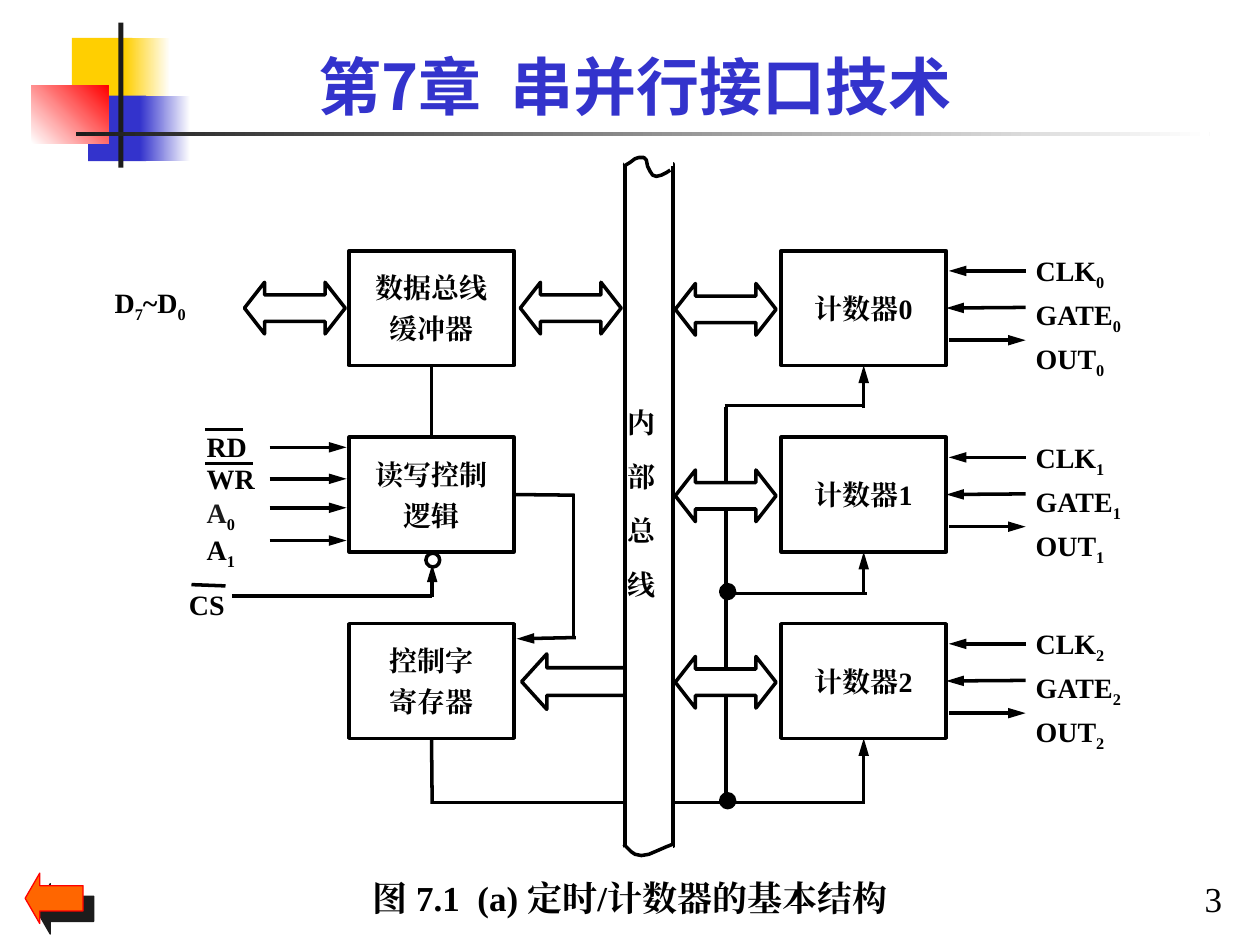
from dataclasses import dataclass
from typing import Optional

from lxml.etree import SubElement
from pptx import Presentation
from pptx.dml.color import RGBColor
from pptx.enum.shapes import MSO_CONNECTOR, MSO_SHAPE
from pptx.enum.text import MSO_ANCHOR, MSO_AUTO_SIZE, PP_ALIGN
from pptx.oxml.ns import qn
from pptx.util import Inches, Pt

prs = Presentation()
prs.slide_width, prs.slide_height = Inches(10), Inches(7.5)
slide = prs.slides.add_slide(prs.slide_layouts[5])
shapes = slide.shapes

CELL = prs.slide_width / 100
ROWS = [19.9 + 14.8 * i for i in range(3)]
LEFT_COL, RIGHT_COL = 27.7, 62
BOX_W, BOX_H = 13.1, 9.1
BLACK, WHITE, DARK, BLUE, YELLOW = "000000", "FFFFFF", "1C1C1C", "3333CC", "FFCF01"
RED, ORANGE = "FF0000", "FF6600"
SERIF, SANS = "Times New Roman", "Noto Sans CJK SC"
BOTH_WAYS = [(0, 2.05), (1.6, 4.1), (1.6, 3.1), (6.4, 3.1), (6.4, 4.1),
             (8, 2.05), (6.4, 0), (6.4, 1), (1.6, 1), (1.6, 0)]
LEFTWARD = [(0, 2.2), (2, 0), (2, 1.1), (8.3, 1.1), (8.3, 3.3), (2, 3.3), (2, 4.4)]
TOP_BREAK = [(0, 0.7), (0.5, 0.4), (0.9, 0.1), (1.2, 0), (1.6, 0), (1.8, 0.2),
             (1.9, 0.7), (2.1, 1.1), (2.3, 1.4), (2.6, 1.5), (3, 1.4), (3.4, 1.2), (3.7, 1)]
BOTTOM_BREAK = [(0, 0), (0.3, 0.3), (0.6, 0.6), (0.9, 0.8), (1.4, 0.9), (2, 0.8),
                (2.7, 0.5), (3.4, 0.2), (3.9, 0)]


@dataclass
class Block:
    """A labelled box of the diagram, placed in grid cells."""
    name: str
    text: str
    x: float
    y: float


@dataclass
class Wire:
    """A straight line in grid cells, optionally joined to (block, side)."""
    x1: float
    y1: float
    x2: float
    y2: float
    arrow: bool = False
    start: Optional[tuple] = None
    end: Optional[tuple] = None
    color: str = BLACK
    width: float = 2


@dataclass
class Label:
    """A free text, placed in grid cells."""
    text: str
    x: float
    y: float
    w: float
    h: float
    spacing: float = 1
    wrap: bool = True
    middle: bool = False
    center: bool = False
    size: float = 16
    bold: bool = True


def g(n: float) -> int:
    """Turn grid cells into EMU."""
    return round(n * CELL)


def rgb(color: str) -> RGBColor:
    """Turn a hex string into a colour."""
    return RGBColor.from_string(color)


def pieces(line: str) -> list:
    """Split a line into (text, is subscript); an underscore lowers one character."""
    first, *rest = line.split("_")
    runs = [(first, False)]
    for part in rest:
        runs += [(part[0], True), (part[1:], False)]
    return [run for run in runs if run[0]]


def write(tf, text: str, *, size=16, font=SERIF, color=BLACK, bold=True, center=True,
          middle=True, wrap=True, spacing=1, before=0) -> None:
    """Fill a text frame with formatted lines."""
    tf.auto_size = MSO_AUTO_SIZE.NONE
    tf.margin_left = tf.margin_right = tf.margin_top = tf.margin_bottom = 0
    tf.word_wrap = wrap
    tf.vertical_anchor = MSO_ANCHOR.MIDDLE if middle else MSO_ANCHOR.TOP
    for i, line in enumerate(text.split("\n")):
        p = tf.add_paragraph() if i else tf.paragraphs[0]
        p.alignment = PP_ALIGN.CENTER if center else PP_ALIGN.LEFT
        p.line_spacing = spacing
        p.space_before = Pt(before if i else 0)
        for part, lowered in pieces(line):
            r = p.add_run()
            r.text = part
            r.font.size, r.font.bold, r.font.name = Pt(size), bold, font
            r.font.color.rgb = rgb(DARK if part == "A" and line == "A_0" else color)
            r.font._element.append(r.font._element.makeelement(qn("a:ea"), {"typeface": font}))
            if lowered:
                r.font._element.set("baseline", "-25000")


def paint(sp, fill: Optional[str] = None, line: Optional[str] = None, width: float = 2):
    """Set a shape's fill and outline and drop its shadow."""
    sp.shadow.inherit = False
    if fill:
        sp.fill.solid()
        sp.fill.fore_color.rgb = rgb(fill)
    else:
        sp.fill.background()
    if line:
        sp.line.color.rgb = rgb(line)
        sp.line.width = Pt(width)
    else:
        sp.line.fill.background()
    return sp


def add(kind, x: float, y: float, w: float, h: float, **style):
    """Add a preset shape placed in grid cells."""
    return paint(shapes.add_shape(kind, g(x), g(y), g(w), g(h)), **style)


def fade(x: float, y: float, w: float, h: float, first: str, last: str, angle: float = 0) -> None:
    """Add a rectangle with a two-colour gradient."""
    sp = add(MSO_SHAPE.RECTANGLE, x, y, w, h)
    sp.fill.gradient()
    sp.fill.gradient_angle = angle
    for stop, color, place in zip(sp.fill.gradient_stops, (first, last), (0, 1)):
        stop.color.rgb = rgb(color)
        stop.position = place


def outline(x: float, y: float, points: list, fill: Optional[str] = None) -> None:
    """Draw a freeform from relative points; it is closed when filled."""
    pts = [(g(x + dx), g(y + dy)) for dx, dy in points]
    builder = shapes.build_freeform(*pts[0], scale=1.0)
    builder.add_line_segments(pts[1:], close=bool(fill))
    paint(builder.convert_to_shape(), fill, BLACK)


def draw_wire(wire: Wire, blocks: dict) -> None:
    """Draw a wire, with its joins and arrowhead."""
    c = shapes.add_connector(MSO_CONNECTOR.STRAIGHT, g(wire.x1), g(wire.y1), g(wire.x2), g(wire.y2))
    if wire.start:
        c.begin_connect(blocks[wire.start[0]], wire.start[1])
    if wire.end:
        c.end_connect(blocks[wire.end[0]], wire.end[1])
    c.line.color.rgb = rgb(wire.color)
    c.line.width = Pt(wire.width)
    if wire.arrow:
        SubElement(c.line._get_or_add_ln(), qn("a:tailEnd"), type="triangle", w="med", len="lg")
    SubElement(c._element.spPr, qn("a:effectLst"))


def draw_label(label: Label) -> None:
    """Add a text box for a label."""
    box = shapes.add_textbox(g(label.x), g(label.y), g(label.w), g(label.h))
    write(box.text_frame, label.text, size=label.size, bold=label.bold, center=label.center,
          middle=label.middle, wrap=label.wrap, spacing=label.spacing)


def draw_decor() -> None:
    """Draw the corner ornament, the rule and the back arrow."""
    add(MSO_SHAPE.RECTANGLE, 5.7, 3, 4.8, 5.2, fill=YELLOW)
    fade(9.9, 3, 3.6, 5.2, YELLOW, WHITE)
    add(MSO_SHAPE.RECTANGLE, 7, 7.6, 4.6, 5.2, fill=BLUE)
    fade(11.1, 7.6, 4, 5.2, BLUE, WHITE)
    fade(2.5, 6.8, 6.1, 4.6, WHITE, RED, 45)
    add(MSO_SHAPE.RECTANGLE, 9.4, 1.8, 0.4, 11.5, fill=DARK)
    fade(6, 10.5, 90, 0.3, DARK, WHITE)
    back = add(MSO_SHAPE.LEFT_ARROW, 2, 69.3, 4.6, 4, fill=ORANGE, line=RED, width=0.75)
    back.adjustments[0], back.adjustments[1] = 0.5, 0.29
    effects = back._element.spPr.find(qn("a:effectLst"))
    shadow = SubElement(effects, qn("a:outerShdw"), blurRad="0", dist=str(Pt(8.5)),
                        dir="2700000", algn="ctr", rotWithShape="0")
    SubElement(shadow, qn("a:srgbClr"), val=DARK)


def main() -> None:
    """Build the slide and save it."""
    draw_decor()
    title = shapes.title
    title.left, title.top, title.width, title.height = g(13.8), g(3.8), g(73.2), g(6)
    write(title.text_frame, "第7章  串并行接口技术", size=36, font=SANS, color=BLUE)

    left = zip(("buffer", "logic", "register"), ("数据总线\n缓冲器", "读写控制\n逻辑", "控制字\n寄存器"), ROWS)
    layout = [Block(name, text, LEFT_COL, y) for name, text, y in left]
    layout += [Block(f"counter{i}", f"计数器{i}", RIGHT_COL, y) for i, y in enumerate(ROWS)]
    blocks = {}
    for b in layout:
        blocks[b.name] = add(MSO_SHAPE.RECTANGLE, b.x, b.y, BOX_W, BOX_H, line=BLACK)
        write(blocks[b.name].text_frame, b.text, before=4)

    wires = [
        Wire(34.2, 29, 34.2, 34.7, start=("buffer", 2), end=("logic", 0)),
        Wire(40.8, 39.3, 45.6, 39.3, start=("logic", 3)), Wire(45.5, 39.2, 45.5, 50.6),
        Wire(45.7, 50.6, 41, 50.7, True), Wire(34.3, 58.6, 34.3, 63.8, start=("register", 2)),
        Wire(34.3, 63.7, 68.6, 63.7), Wire(57.6, 32.3, 57.6, 63.7), Wire(57.5, 32.2, 68.6, 32.2),
        Wire(58, 47.1, 68.8, 47.1), Wire(18.4, 47.3, 34.3, 47.3), Wire(34.3, 47.4, 34.3, 44.8, True),
        Wire(15.2, 46.4, 17.9, 46.5), Wire(16.3, 36.8, 20.1, 36.8, width=1.75),
        Wire(16.3, 34.1, 19.3, 34.1, width=1.75)]
    wires += [Wire(21.4, y, 27.5, y, True) for y in (35.5, 38, 40.3, 42.9)]
    wires += [Wire(68.55, y, 68.55, y - 3, True, end=(f"counter{i}", 2))
              for i, y in enumerate((32.4, 47, 63.8))]
    labels = [Label("D_7~D_0", 9.1, 22.7, 13.1, 3, wrap=False), Label("CS", 15, 46.6, 3.4, 2.7),
              Label("RD\nWR\nA_0\nA_1", 16.4, 34.3, 4.7, 10.8, spacing=0.95),
              Label("内\n部\n总\n线", 49.8, 30.6, 3.6, 17.1, spacing=1.6, middle=True),
              Label("图 7.1  (a) 定时/计数器的基本结构", 10, 69.6, 80, 3.3, center=True, size=20),
              Label("3", 94.3, 69.6, 4, 3.4, wrap=False, middle=True, center=True, size=20, bold=False)]
    for i, y in enumerate(ROWS):
        wires += [Wire(81.4, y + 1.6, 75.3, y + 1.6, True),
                  Wire(81.4, y + 4.5, 75.1, y + 4.5, True, end=(f"counter{i}", 3)),
                  Wire(75.3, y + 7.1, 81.4, y + 7.1, True)]
        labels.append(Label(f"CLK_{i}\nGATE_{i}\nOUT_{i}", 82.2, y - 0.2, 7.7, 10.5, spacing=1.15))
    for wire in wires:
        draw_wire(wire, blocks)

    outline(41.4, 51.9, LEFTWARD, WHITE)
    add(MSO_SHAPE.RECTANGLE, 49.6, 13, 3.8, 54.2, fill=WHITE, line=BLACK)
    for y in (13, 67.2):
        draw_wire(Wire(49.5, y, 53.4, y, color=WHITE), blocks)
    outline(49.5, 12.5, TOP_BREAK)
    outline(49.5, 67, BOTTOM_BREAK)
    for x, y in [(19.4, 22.4), (41.3, 22.4)] + [(53.6, y + 2.6) for y in ROWS]:
        outline(x, y, BOTH_WAYS, WHITE)
    for x, y, fill in ((33.8, 43.9, WHITE), (57.2, 63, BLACK), (57.2, 46.4, BLACK)):
        add(MSO_SHAPE.OVAL, x, y, 1.1, 1.1, fill=fill, line=BLACK)
    for label in labels:
        draw_label(label)
    prs.save("out.pptx")


if __name__ == "__main__":
    main()
